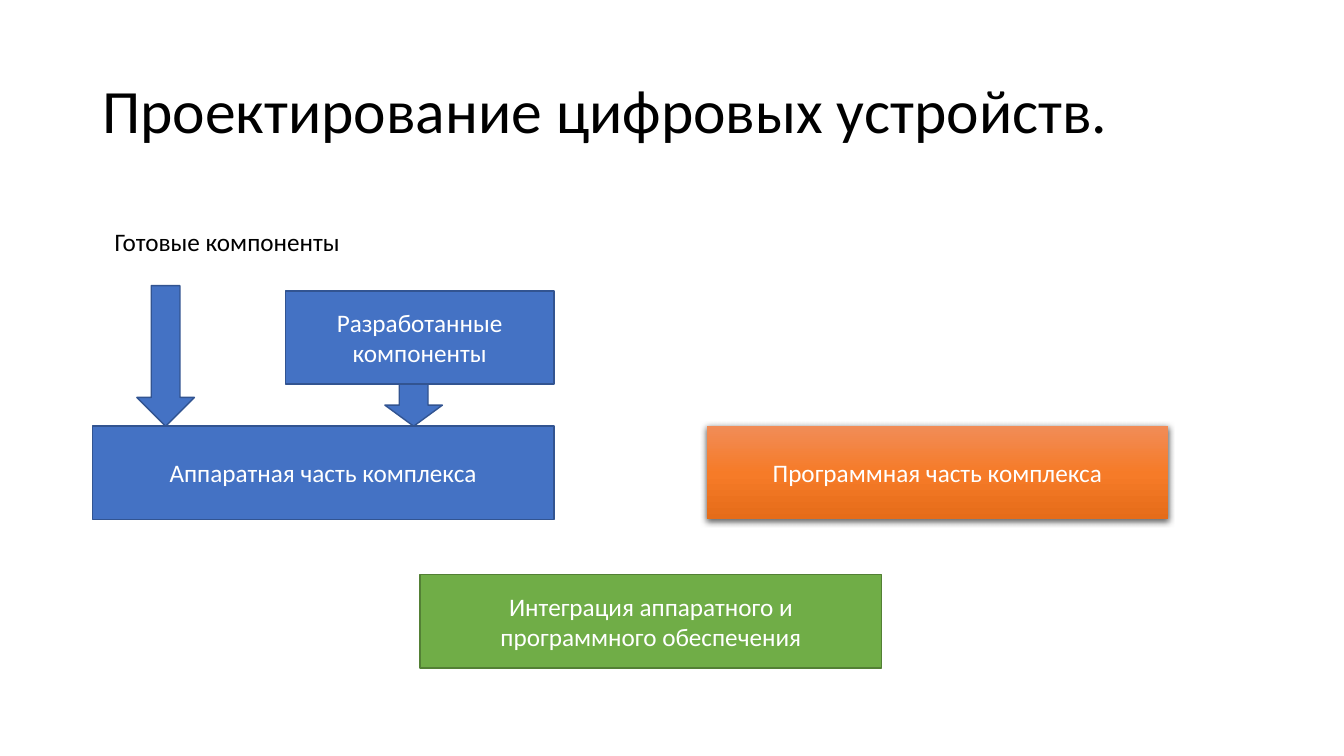
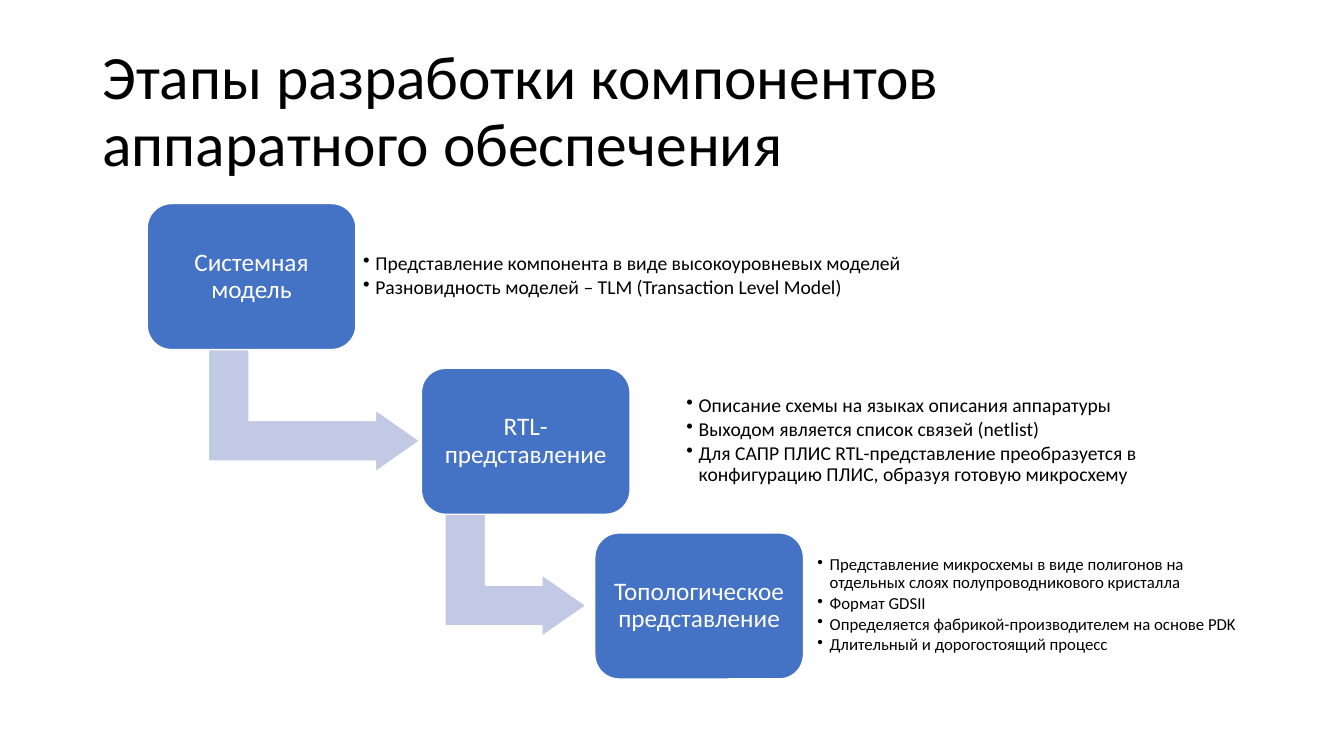
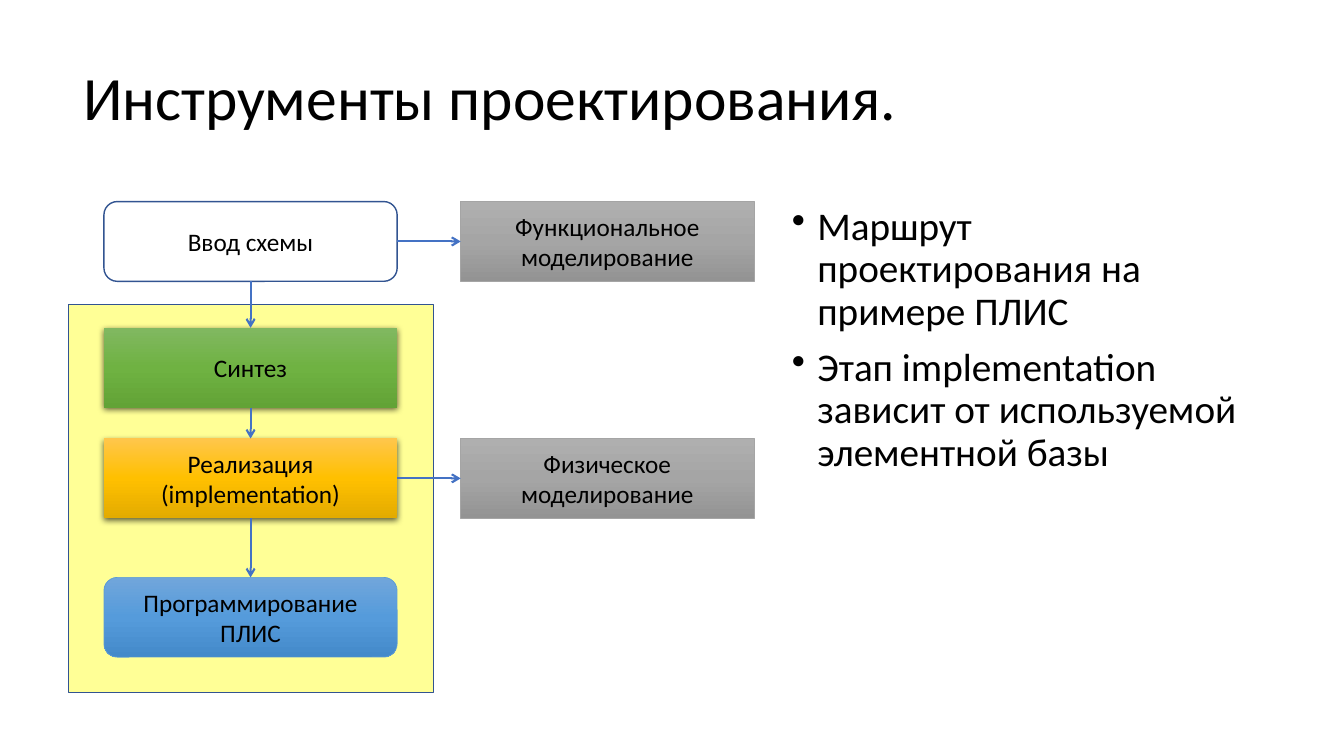
from copy import deepcopy

from pptx import Presentation
from pptx.dml.color import RGBColor
from pptx.enum.shapes import MSO_CONNECTOR as CONN, MSO_SHAPE as SHAPE
from pptx.enum.text import MSO_ANCHOR as ANCHOR, PP_ALIGN as ALIGN
from pptx.oxml.ns import qn
from pptx.oxml.xmlchemy import OxmlElement
from pptx.util import Cm, Pt

BLACK, WHITE, BLUE, NAVY = "000000", "FFFFFF", "4472C4", "325491"
LOOKS = {
    "blue": {"fill": BLUE, "line": NAVY},
    "green": {"fill": "70AD47", "line": "538035"},
    "step": {"fill": BLUE, "line": WHITE},
    "bend": {"fill": "C1C9E4", "line": WHITE},
    "outline": {"line": NAVY, "color": BLACK},
    "panel": {"fill": "FFFF00", "alpha": 41, "line": NAVY},
    "software": {"grad": ("F18C57", "F67B28", "E56C19"), "shadow": True},
    "synthesis": {"grad": ("81B861", "6FB242", "62A336"), "shadow": True, "color": BLACK},
    "implementation": {"grad": ("FFC64B", "FFC000", "E3AB00"), "shadow": True, "color": BLACK},
    "simulation": {"grad": ("AFAFAF", "A5A5A5", "939393"), "line": "A5A5A5", "width": 0.5, "color": BLACK},
    "programming": {"grad": ("71A6DB", "559BDB", "448ACA"), "line": "5B9BD5", "width": 0.5, "color": BLACK},
}


def rgb(value):
    return RGBColor.from_string(value)


def apply(obj, values):
    for name, value in values.items():
        setattr(obj, name, value)


def add_child(parent, tag, **attrs):
    child = OxmlElement(tag)
    for name, value in attrs.items():
        child.set(name, str(value))
    parent.append(child)
    return child


class Deck:
    font = "Calibri"
    title_size = (29.21, 3.68)

    def __init__(self):
        self.prs = Presentation()
        apply(self.prs, {"slide_width": Cm(33.87), "slide_height": Cm(19.05)})
        self.s = None

    def slide(self, title, left=2.33, top=1.01):
        self.s = self.prs.slides.add_slide(self.prs.slide_layouts[6])
        self.text((left, top, *self.title_size), [title], size=44, spacing=0.9, anchor=ANCHOR.MIDDLE)

    def set_lines(self, sp, lines, size=18, color=BLACK, align=ALIGN.LEFT, anchor=ANCHOR.TOP,
                  spacing=1.0, inset=None, before=0, after=0, indent=0):
        tf = sp.text_frame
        apply(tf, {"word_wrap": True, "vertical_anchor": anchor})
        if inset is not None:
            apply(tf, {f"margin_{side}": Cm(inset) for side in ("left", "top", "right", "bottom")})
        for i, line in enumerate(lines):
            p = tf.add_paragraph() if i else tf.paragraphs[0]
            apply(p, {"alignment": align, "line_spacing": spacing,
                      "space_before": Pt(before), "space_after": Pt(after)})
            r = p.add_run()
            r.text = line
            apply(r.font, {"name": self.font, "size": Pt(size)})
            r.font.color.rgb = rgb(color)
            if indent:
                pPr = p._p.get_or_add_pPr()
                pPr.set("marL", str(Cm(indent)))
                pPr.set("indent", str(-Cm(indent)))
                add_child(pPr, "a:buChar", char="•")

    def text(self, rect, lines, **fmt):
        sp = self.s.shapes.add_textbox(*map(Cm, rect))
        self.set_lines(sp, lines, **fmt)

    def paint(self, sp, fill=None, grad=None, alpha=None, line=None, width=1, shadow=False):
        sp.shadow.inherit = False
        spPr = sp._element.spPr
        if grad:
            sp.fill.gradient()
            sp.fill.gradient_angle = 270
            stops = spPr.find(".//" + qn("a:gsLst"))
            stops.append(deepcopy(stops[0]))
            for stop, position, color in zip(sp.fill.gradient_stops, (0, 0.5, 1), grad):
                stop.position = position
                stop.color.rgb = rgb(color)
        elif fill:
            sp.fill.solid()
            sp.fill.fore_color.rgb = rgb(fill)
        else:
            sp.fill.background()
        if alpha:
            add_child(spPr.find(".//" + qn("a:srgbClr")), "a:alpha", val=alpha * 1000)
        if line:
            sp.line.color.rgb = rgb(line)
            sp.line.width = Pt(width)
        else:
            sp.line.fill.background()
        if shadow:
            outer = add_child(spPr.find(qn("a:effectLst")), "a:outerShdw", blurRad=Pt(4.5),
                              dist=Pt(1.5), dir=5400000, algn="ctr", rotWithShape=0)
            add_child(add_child(outer, "a:srgbClr", val=BLACK), "a:alpha", val=63000)

    def box(self, kind, rect, look, lines=(), **fmt):
        style = dict(LOOKS[look])
        color = style.pop("color", WHITE)
        sp = self.s.shapes.add_shape(kind, *map(Cm, rect))
        self.paint(sp, **style)
        self.set_lines(sp, lines, color=color, align=ALIGN.CENTER, anchor=ANCHOR.MIDDLE, **fmt)
        return sp

    def bend(self, left, top, width, height):
        shift = (width - height) / 2
        sp = self.box(SHAPE.BENT_UP_ARROW, (left + shift, top - shift, height, width), "bend")
        sp.rotation = 90
        for i, value in enumerate((0.328, 0.25, 0.358)):
            sp.adjustments[i] = value

    def arrow(self, start, start_side, end, end_side):
        c = self.s.shapes.add_connector(CONN.STRAIGHT, 0, 0, 0, 0)
        c.begin_connect(start, start_side)
        c.end_connect(end, end_side)
        c.line.color.rgb = rgb(BLUE)
        c.line.width = Pt(1.5)
        spPr = c._element.spPr
        add_child(spPr.find(qn("a:ln")), "a:tailEnd", type="arrow")
        add_child(spPr, "a:effectLst")


def design_slide(deck):
    deck.slide("Проектирование цифровых устройств.")
    w, h, part_top = 11.63, 2.35, 10.74
    for left, top, width, look, label in (
        (2.33, part_top, w, "blue", "Аппаратная часть комплекса"),
        (17.81, part_top, w, "software", "Программная часть комплекса"),
        (7.19, 7.33, 6.77, "blue", "Разработанные компоненты"),
        (10.59, 14.48, w, "green", "Интеграция аппаратного и программного обеспечения"),
    ):
        deck.box(SHAPE.RECTANGLE, (left, top, width, h), look, [label])
    for left, top in ((3.45, 7.2), (9.7, 9.68)):
        deck.box(SHAPE.DOWN_ARROW, (left, top, 1.45, part_top - top), "blue")
    deck.text((2.64, 5.59, 6.6, 1.02), ["Готовые компоненты"])


def stages_slide(deck):
    deck.slide("Этапы разработки компонентов аппаратного обеспечения")
    stages = (
        (3.71, "Системная модель", (5.25, 5.33), (8.97, 15.39), 14, (
            "Представление компонента в виде высокоуровневых моделей",
            "Разновидность моделей – TLM (Transaction Level Model)")),
        (10.62, "RTL-представление", (11.21, 3.56), (17.12, 14.4), 14, (
            "Описание схемы на языках описания аппаратуры",
            "Выходом является список связей (netlist)",
            "Для САПР ПЛИС RTL-представление преобразуется в конфигурацию ПЛИС, "
            "образуя готовую микросхему")),
        (14.99, "Топологическое представление", None, (20.42, 11.13), 12, (
            "Представление микросхемы в виде полигонов на отдельных слоях "
            "полупроводникового кристалла",
            "Формат GDSII",
            "Определяется фабрикой-производителем на основе PDK",
            "Длительный и дорогостоящий процесс")),
    )
    for i, (left, name, bend, (notes_left, notes_width), size, notes) in enumerate(stages):
        top = 5.13 + i * 4.15
        if bend:
            bend_left, bend_width = bend
            deck.bend(bend_left, top + 3.64, bend_width, 3.12)
        deck.box(SHAPE.ROUNDED_RECTANGLE, (left, top, 5.26, 3.68), "step", [name],
                 spacing=0.9, inset=0.18)
        deck.text((notes_left, top + 0.34, notes_width, 2.97), notes, size=size, spacing=0.9,
                  anchor=ANCHOR.MIDDLE, inset=0.18, indent=0.31, after=size * 0.15)


def tools_slide(deck):
    deck.slide("Инструменты проектирования.", 1.85, 0.69)
    deck.text((19.71, 5.08, 11.81, 12.37), (
        "Маршрут проектирования на примере ПЛИС",
        "Этап implementation зависит от используемой элементной базы",
    ), size=28, spacing=0.9, before=10, indent=0.64)
    deck.box(SHAPE.RECTANGLE, (1.73, 7.67, 9.19, 9.78), "panel")
    flow, side = 2.62, 11.61
    process, rounded = SHAPE.FLOWCHART_PROCESS, SHAPE.ROUNDED_RECTANGLE
    entry, synthesis, implementation, programming, functional, physical = [
        deck.box(kind, (left, top, 7.39, 2.01), look, lines)
        for kind, left, top, look, lines in (
            (rounded, flow, 5.08, "outline", ["Ввод схемы"]),
            (process, flow, 8.26, "synthesis", ["Синтез"]),
            (process, flow, 11.05, "implementation", ["Реализация", "(implementation)"]),
            (rounded, flow, 14.55, "programming", ["Программирование ПЛИС"]),
            (process, side, 5.08, "simulation", ["Функциональное моделирование"]),
            (process, side, 11.05, "simulation", ["Физическое моделирование"]),
        )
    ]
    for start, end in ((entry, synthesis), (synthesis, implementation), (implementation, programming)):
        deck.arrow(start, 2, end, 0)
    for start, end in ((entry, functional), (implementation, physical)):
        deck.arrow(start, 3, end, 1)


def main():
    deck = Deck()
    design_slide(deck)
    stages_slide(deck)
    tools_slide(deck)
    deck.prs.save("out.pptx")


if __name__ == "__main__":
    main()
